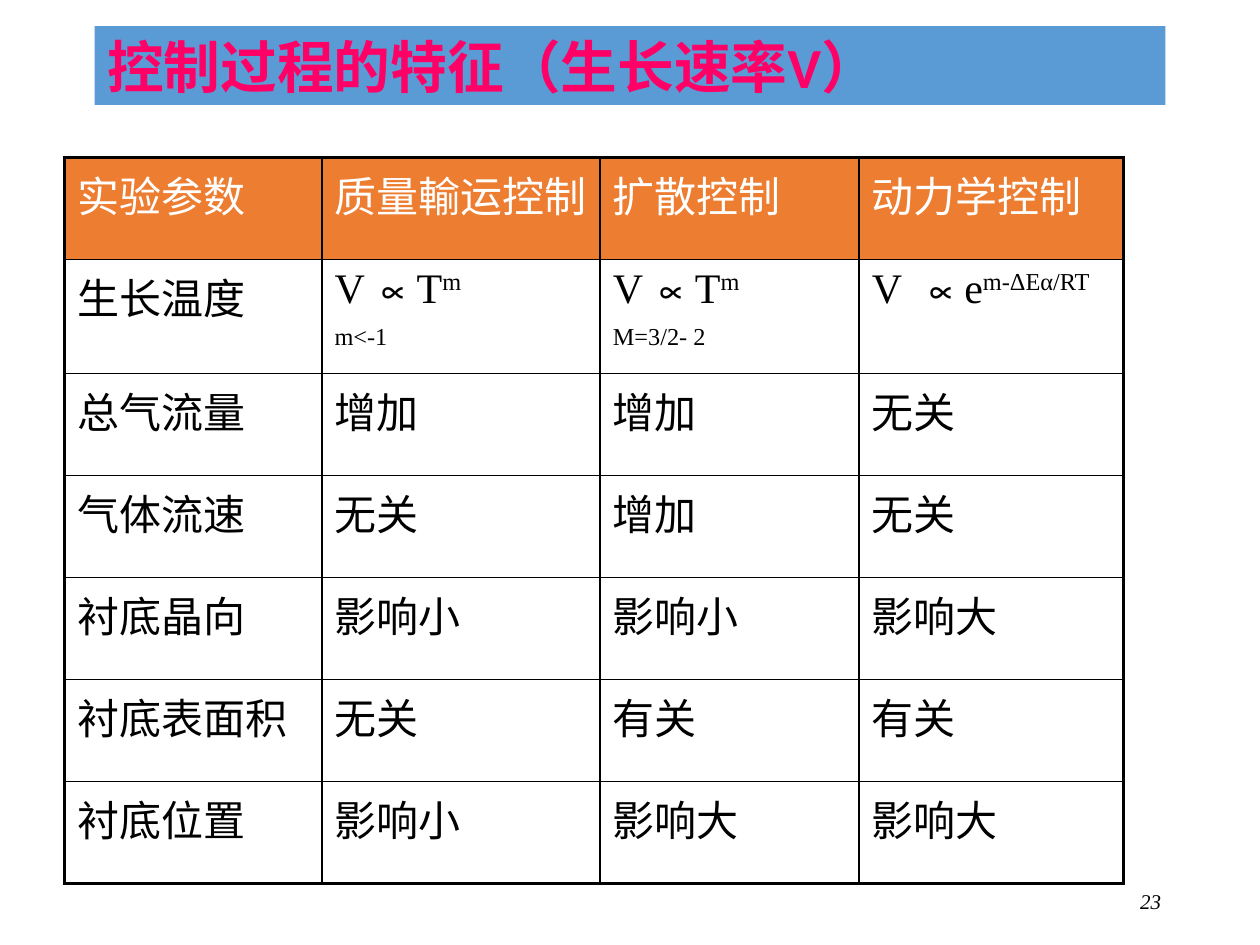
from dataclasses import dataclass

from lxml import etree
from pptx import Presentation
from pptx.dml.color import RGBColor
from pptx.enum.text import MSO_ANCHOR, MSO_AUTO_SIZE, PP_ALIGN
from pptx.oxml.ns import qn
from pptx.util import Pt

LEFT, RIGHT = PP_ALIGN.LEFT, PP_ALIGN.RIGHT
MIDDLE = MSO_ANCHOR.MIDDLE
NO_AUTOFIT = MSO_AUTO_SIZE.NONE
TITLE_ONLY = 5

COLORS = {
    "title_fill": "5B9BD5",
    "title_text": "FF0066",
    "header_fill": "ED7D31",
    "header_text": "FFFFFF",
    "ink": "000000",
}
SERIF = "Times New Roman"
COLUMN_WIDTHS = [147, 159, 148, 151]
ROW_HEIGHT = 58.3
OUTER_LINE, INNER_LINE = 2.25, 1


@dataclass
class Formula:
    base: str
    exponent: str
    condition: str = ""


ROWS = [
    ["实验参数", "质量輸运控制", "扩散控制", "动力学控制"],
    ["生长温度", Formula("V ∝T", "m", "m<-1"),
     Formula("V ∝T", "m", "M=3/2- 2"), Formula("V  ∝e", "m-ΔEα/RT")],
    ["总气流量", "增加", "增加", "无关"],
    ["气体流速", "无关", "增加", "无关"],
    ["衬底晶向", "影响小", "影响小", "影响大"],
    ["衬底表面积", "无关", "有关", "有关"],
    ["衬底位置", "影响小", "影响大", "影响大"],
]


def rgb(name: str) -> RGBColor:
    return RGBColor.from_string(COLORS[name])


def add_text(para, text: str, *, size: float = 24, font: str = SERIF,
             color: str = "ink", bold: bool = False, italic: bool = False,
             raised: bool = False) -> None:
    span = para.add_run()
    span.text = text
    span.font.size = Pt(size)
    span.font.name = font
    span.font.bold = bold
    span.font.italic = italic
    span.font.color.rgb = rgb(color)
    if raised:
        span.font._element.set("baseline", "30000")


def add_border(cell, side: str, width: float) -> None:
    properties = cell._tc.get_or_add_tcPr()
    line = etree.SubElement(properties, qn(f"a:ln{side}"), w=str(Pt(width)))
    fill = etree.SubElement(line, qn("a:solidFill"))
    etree.SubElement(fill, qn("a:srgbClr"), val=COLORS["ink"])


def fill_cell(cell, content: str | Formula, header: bool) -> None:
    frame = cell.text_frame
    para = frame.paragraphs[0]
    if isinstance(content, Formula):
        add_text(para, content.base)
        add_text(para, content.exponent, raised=True)
        if content.condition:
            para = frame.add_paragraph()
            para.space_before = Pt(4.8)
            add_text(para, content.condition, raised=True)
    else:
        add_text(para, content, color="header_text" if header else "ink")
    if header:
        cell.fill.solid()
        cell.fill.fore_color.rgb = rgb("header_fill")
    else:
        cell.fill.background()


def add_title(page) -> None:
    title = page.shapes.title
    title.left, title.top, title.width, title.height = Pt(54), Pt(15), Pt(612), Pt(45)
    title.fill.solid()
    title.fill.fore_color.rgb = rgb("title_fill")
    frame = title.text_frame
    frame.auto_size = NO_AUTOFIT
    frame.vertical_anchor = MIDDLE
    para = frame.paragraphs[0]
    para.alignment = LEFT
    add_text(para, "控制过程的特征（生长速率V）", size=32.4, font="Calibri",
             color="title_text", bold=True)


def add_comparison(page) -> None:
    last_row, last_column = len(ROWS) - 1, len(COLUMN_WIDTHS) - 1
    table = page.shapes.add_table(
        len(ROWS), len(COLUMN_WIDTHS), Pt(37), Pt(90),
        Pt(sum(COLUMN_WIDTHS)), Pt(ROW_HEIGHT * len(ROWS))).table
    table.first_row = False
    table.horz_banding = False
    for column, width in zip(table.columns, COLUMN_WIDTHS):
        column.width = Pt(width)
    for r, contents in enumerate(ROWS):
        table.rows[r].height = Pt(ROW_HEIGHT)
        for c, content in enumerate(contents):
            cell = table.cell(r, c)
            edges = {"L": c == 0, "R": c == last_column,
                     "T": r == 0, "B": r == last_row}
            for side, outer in edges.items():
                add_border(cell, side, OUTER_LINE if outer else INNER_LINE)
            fill_cell(cell, content, header=r == 0)


def add_page_number(page) -> None:
    box = page.shapes.add_textbox(Pt(508.5), Pt(500.5), Pt(162), Pt(28.8))
    frame = box.text_frame
    frame.word_wrap = True
    frame.vertical_anchor = MIDDLE
    para = frame.paragraphs[0]
    para.alignment = RIGHT
    add_text(para, "23", size=12, italic=True)


def main() -> None:
    deck = Presentation()
    deck.slide_width, deck.slide_height = Pt(720), Pt(540)
    page = deck.slides.add_slide(deck.slide_layouts[TITLE_ONLY])
    add_title(page)
    add_comparison(page)
    add_page_number(page)
    deck.save("out.pptx")


if __name__ == "__main__":
    main()
